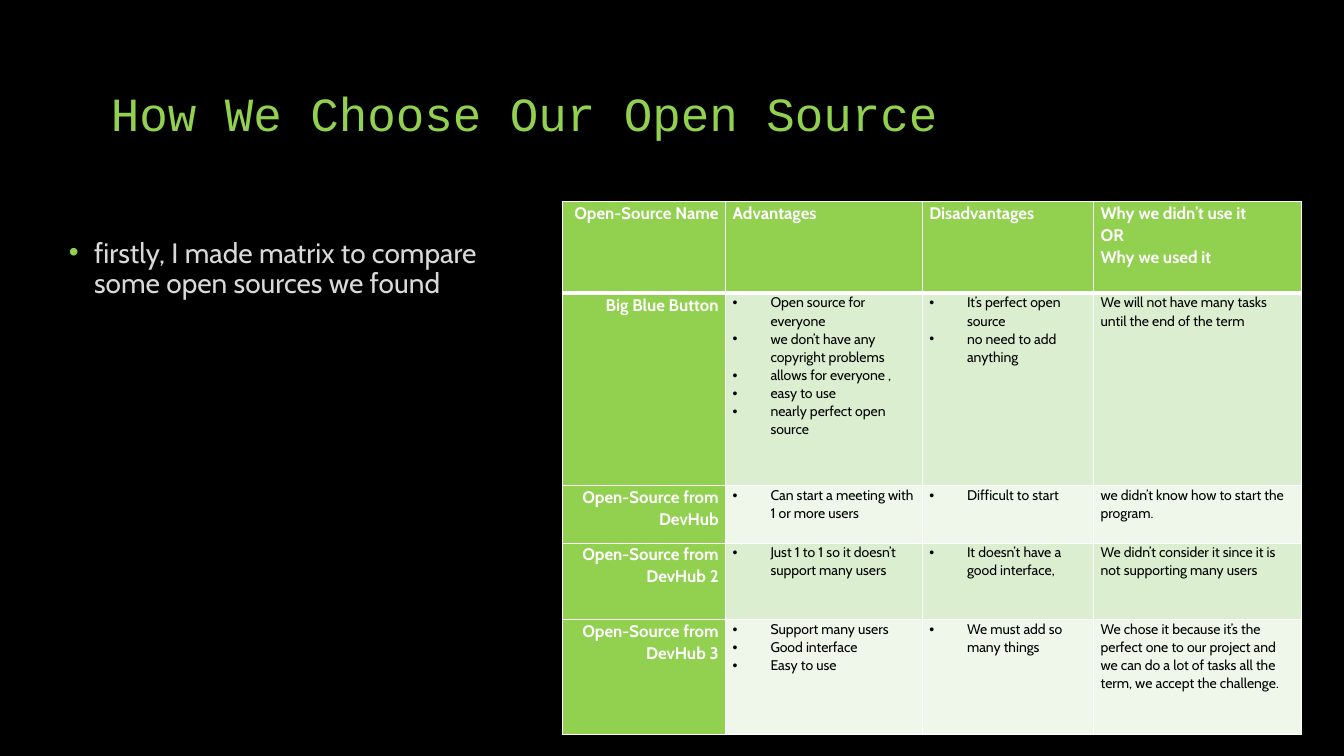
from pptx import Presentation
from pptx.dml.color import RGBColor
from pptx.enum import text
from pptx.oxml import parse_xml
from pptx.oxml.ns import nsdecls
from pptx.util import Pt

GREEN, WHITE, BLACK, GREY = "92D050", "FFFFFF", "000000", "D9D9D9"
BANDS = ["DCEED0", "EEF7E9"]
COLUMN_WIDTHS = [116.64, 140.4, 122.4, 148.32]
ROW_HEIGHTS = [65.5, 137.5, 41, 54.75, 82]
BULLETED_COLUMNS = (1, 2)
ROWS = [
    ["Open-Source Name", "Advantages", "Disadvantages",
     "Why we didn’t use it\nOR\nWhy we used it"],
    ["Big Blue Button",
     "Open source for everyone\nwe don’t have any copyright problems\n"
     "allows for everyone ,\neasy to use\nnearly perfect open source",
     "It’s perfect open source\nno need to add anything",
     "We will not have many tasks until the end of the term"],
    ["Open-Source from DevHub", "Can start a meeting with 1 or more users",
     "Difficult to start", "we didn’t know how to start the program."],
    ["Open-Source from DevHub 2", "Just 1 to 1 so it doesn’t support many users",
     "It doesn’t have a good interface,",
     "We didn’t consider it since it is not supporting many users"],
    ["Open-Source from DevHub 3", "Support many users\nGood interface\nEasy to use",
     "We must add so many things",
     "We chose it because it’s the perfect one to our project and we can do "
     "a lot of tasks all the term, we accept the challenge."],
]


def rgb(value):
    return RGBColor.from_string(value)


def place(box, left, top, width, height):
    box.left, box.top, box.width, box.height = map(Pt, (left, top, width, height))


def format_text(frame, font, size, color, bold=False, spacing=0.9,
                align=text.PP_ALIGN.LEFT):
    for para in frame.paragraphs:
        para.alignment = align
        para.line_spacing = spacing
        para.space_before = para.space_after = Pt(0)
        for span in para.runs:
            span.font.name = font
            span.font.size = Pt(size)
            span.font.bold = bold
            span.font.color.rgb = rgb(color)


def add_bullets(frame, indent, color):
    """Give every paragraph a hanging round bullet."""
    for para in frame.paragraphs:
        properties = para._p.get_or_add_pPr()
        properties.set("marL", str(Pt(indent)))
        properties.set("indent", str(-Pt(indent)))
        for tag in (f'<a:buClr {nsdecls("a")}><a:srgbClr val="{color}"/></a:buClr>',
                    f'<a:buFont {nsdecls("a")} typeface="Arial"/>',
                    f'<a:buChar {nsdecls("a")} char="•"/>'):
            properties.append(parse_xml(tag))


def add_borders(cell, top, bottom):
    widths = {"lnL": 1, "lnR": 1, "lnT": top, "lnB": bottom}
    for side, width in widths.items():
        cell._tc.get_or_add_tcPr().append(parse_xml(
            f'<a:{side} {nsdecls("a")} w="{Pt(width)}"><a:solidFill>'
            f'<a:srgbClr val="{WHITE}"/></a:solidFill></a:{side}>'))


def fill_cell(cell, words, row, column):
    heading = row == 0 or column == 0
    cell.margin_left = cell.margin_right = Pt(5)
    cell.margin_top = cell.margin_bottom = Pt(0)
    add_borders(cell, 3 if row == 1 else 1, 3 if row == 0 else 1)
    cell.fill.solid()
    cell.fill.fore_color.rgb = rgb(GREEN if heading else BANDS[(row - 1) % 2])
    frame = cell.text_frame
    frame.text = words
    if not heading and column in BULLETED_COLUMNS:
        add_bullets(frame, 27, BLACK)
    format_text(frame, "Cabin", 12 if heading else 10, WHITE if heading else BLACK,
                heading, 1.07,
                text.PP_ALIGN.LEFT if column else text.PP_ALIGN.RIGHT)


def add_matrix(page):
    table = page.shapes.add_table(
        len(ROWS), len(COLUMN_WIDTHS), Pt(401.75), Pt(144),
        Pt(sum(COLUMN_WIDTHS)), Pt(sum(ROW_HEIGHTS))).table
    for column, width in zip(table.columns, COLUMN_WIDTHS):
        column.width = Pt(width)
    for row, height in zip(table.rows, ROW_HEIGHTS):
        row.height = Pt(height)
    for row, entries in enumerate(ROWS):
        for column, words in enumerate(entries):
            fill_cell(table.cell(row, column), words, row, column)


def fill_title(box, words):
    place(box, 72, 15, 720, 90)
    frame = box.text_frame
    frame.text = words
    frame.auto_size = text.MSO_AUTO_SIZE.NONE
    frame.vertical_anchor = text.MSO_ANCHOR.BOTTOM
    format_text(frame, "Courier New", 34, GREEN)


def fill_body(box, words):
    place(box, 42, 167, 326, 168)
    frame = box.text_frame
    frame.text = words
    frame.auto_size = text.MSO_AUTO_SIZE.NONE
    add_bullets(frame, 18, GREEN)
    format_text(frame, "Cabin", 20, GREY)


def main():
    deck = Presentation()
    deck.slide_width, deck.slide_height = Pt(960), Pt(540)
    page = deck.slides.add_slide(deck.slide_layouts[1])
    page.background.fill.solid()
    page.background.fill.fore_color.rgb = rgb(BLACK)
    fill_title(page.shapes.title, "How We Choose Our Open Source")
    fill_body(page.placeholders[1],
              "firstly, I made matrix to compare some open sources we found")
    add_matrix(page)
    deck.save("out.pptx")


if __name__ == "__main__":
    main()
